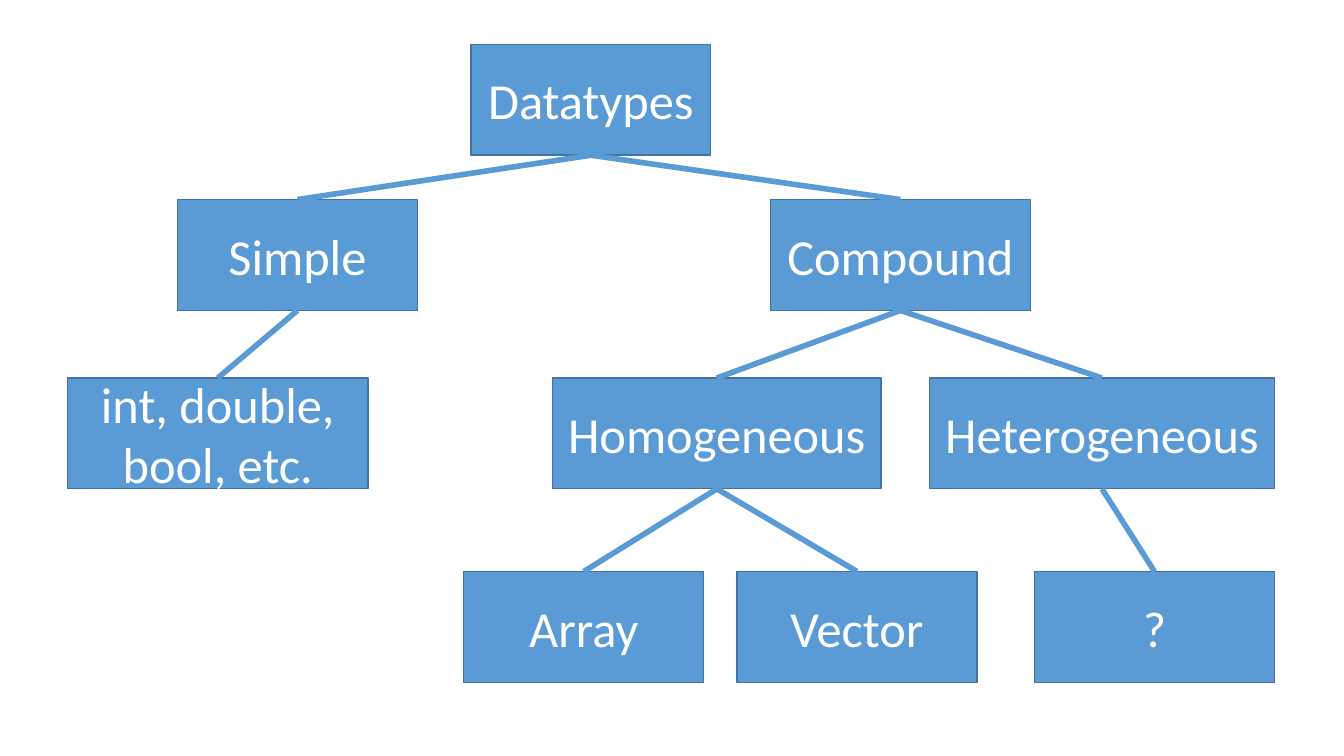
"""Build a slide with a tree of datatypes."""
from lxml import etree
from pptx import Presentation
from pptx.dml.color import RGBColor
from pptx.enum.shapes import MSO_CONNECTOR, MSO_SHAPE
from pptx.enum.text import MSO_ANCHOR, PP_ALIGN
from pptx.oxml.ns import qn
from pptx.util import Inches, Pt

RECTANGLE = MSO_SHAPE.RECTANGLE
STRAIGHT = MSO_CONNECTOR.STRAIGHT
MIDDLE = MSO_ANCHOR.MIDDLE
CENTER = PP_ALIGN.CENTER
TOP_SIDE, BOTTOM_SIDE = 0, 2

COLORS = {"fill": "5B9BD5", "outline": "43739E", "text": "FFFFFF"}
FONT_NAME, FONT_SIZE = "Calibri", 36
BOX_HEIGHT = 1.1
LEVEL_TOPS = [0.44, 1.98, 3.75, 5.67]

# label, parent, level, left, width
NODES = [
    ("Datatypes", None, 0, 4.67, 2.38),
    ("Simple", "Datatypes", 1, 1.76, 2.38),
    ("Compound", "Datatypes", 1, 7.64, 2.58),
    ("int, double, bool, etc.", "Simple", 2, 0.67, 2.98),
    ("Homogeneous", "Compound", 2, 5.48, 3.26),
    ("Heterogeneous", "Compound", 2, 9.22, 3.42),
    ("Array", "Homogeneous", 3, 4.6, 2.38),
    ("Vector", "Homogeneous", 3, 7.31, 2.38),
    ("?", "Heterogeneous", 3, 10.26, 2.38),
]


def color(name):
    """Return the named colour."""
    return RGBColor.from_string(COLORS[name])


def add_node(page, label, level, left, width):
    """Add one labelled box on its level of the tree."""
    box = page.shapes.add_shape(
        RECTANGLE, Inches(left), Inches(LEVEL_TOPS[level]), Inches(width), Inches(BOX_HEIGHT)
    )
    box.shadow.inherit = False
    box.fill.solid()
    box.fill.fore_color.rgb = color("fill")
    box.line.color.rgb = color("outline")
    box.line.width = Pt(1)
    frame = box.text_frame
    frame.word_wrap = True
    frame.vertical_anchor = MIDDLE
    frame.text = label
    para = frame.paragraphs[0]
    para.alignment = CENTER
    font = para.runs[0].font
    font.name = FONT_NAME
    font.size = Pt(FONT_SIZE)
    font.color.rgb = color("text")
    return box


def add_branch(page, parent, child):
    """Join the bottom of the parent to the top of the child."""
    branch = page.shapes.add_connector(STRAIGHT, 0, 0, 0, 0)
    branch.begin_connect(parent, BOTTOM_SIDE)
    branch.end_connect(child, TOP_SIDE)
    branch.line.color.rgb = color("fill")
    branch.line.width = Pt(4)
    properties = branch._element.find(qn("p:spPr"))
    etree.SubElement(properties, qn("a:effectLst"))


def main():
    """Build and save the deck."""
    deck = Presentation()
    deck.slide_width = Inches(13.33)
    deck.slide_height = Inches(7.5)
    page = deck.slides.add_slide(deck.slide_layouts[6])
    boxes = {}
    for label, parent, level, left, width in NODES:
        boxes[label] = add_node(page, label, level, left, width)
    for label, parent, *place in NODES:
        if parent:
            add_branch(page, boxes[parent], boxes[label])
    deck.save("out.pptx")


if __name__ == "__main__":
    main()
